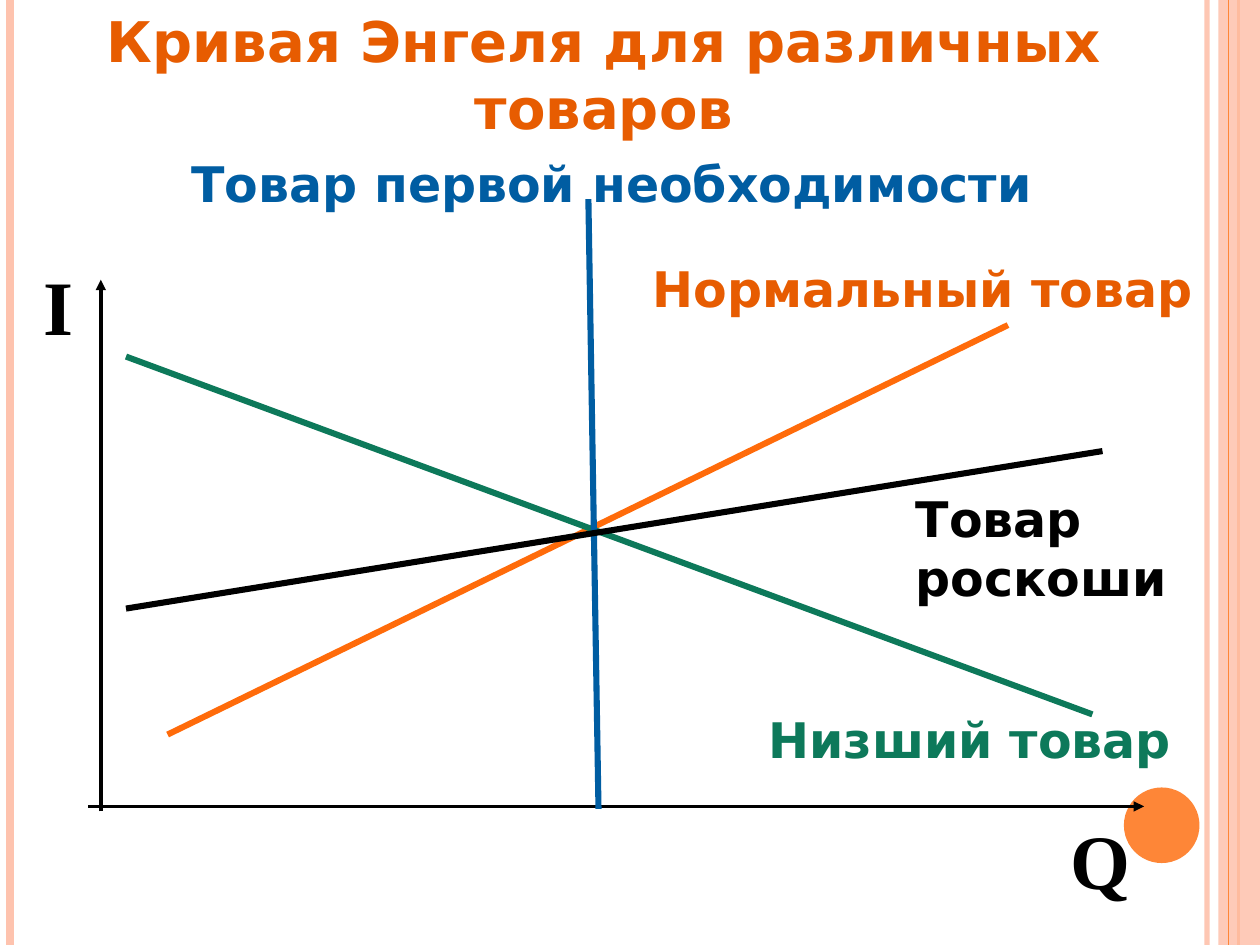
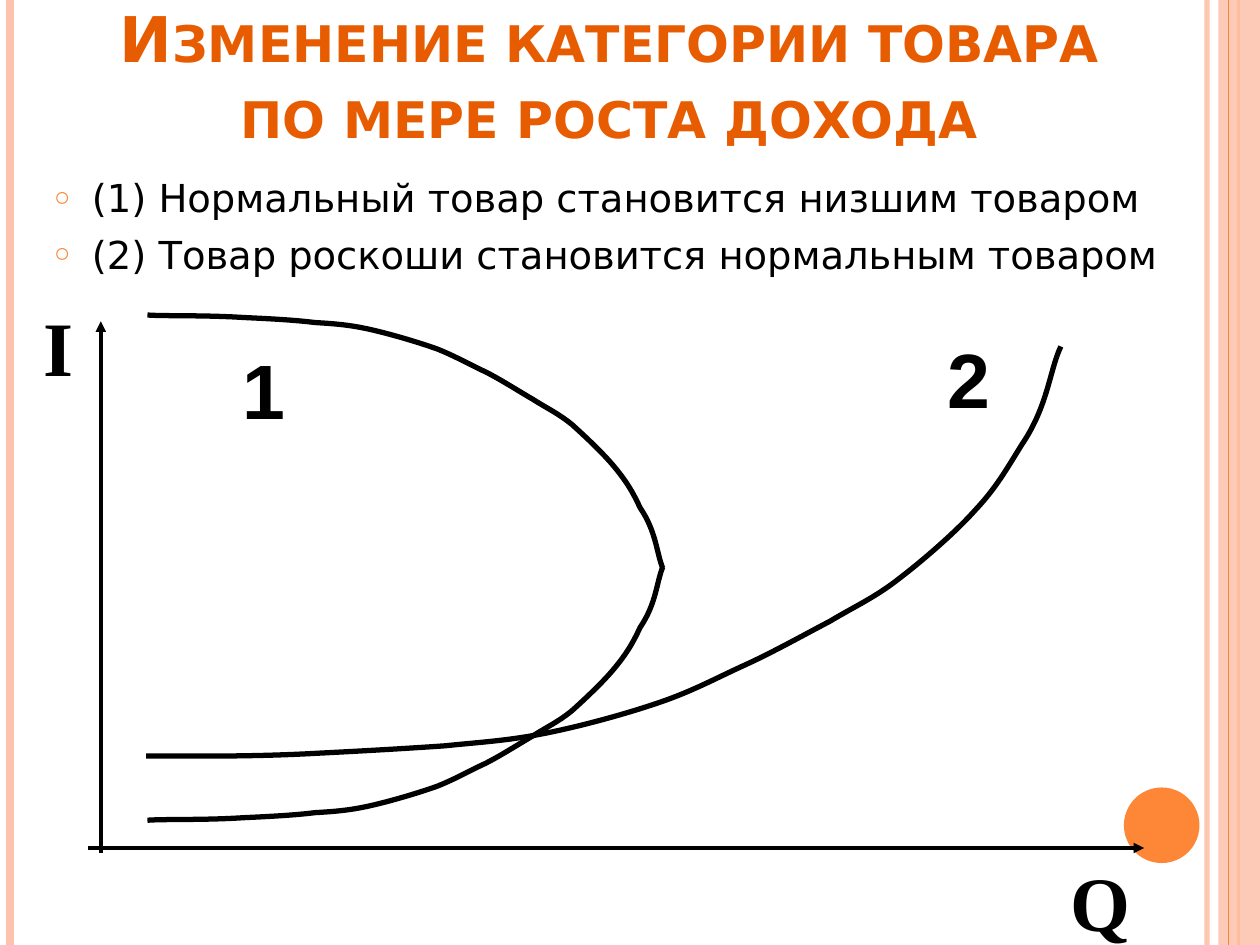
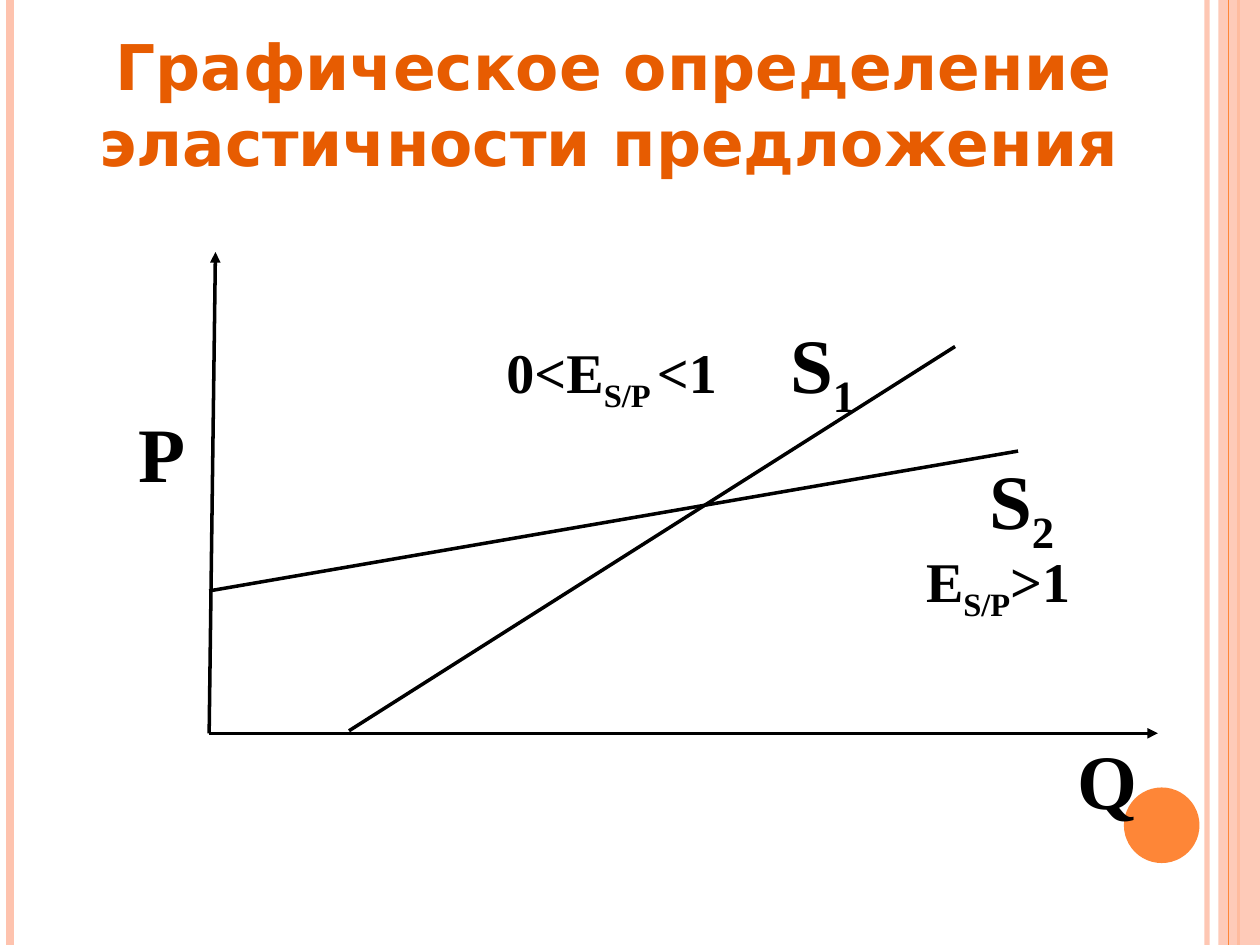
import pptx
import pptx.dml.color
import pptx.enum.shapes
import pptx.enum.text
import pptx.oxml
import pptx.oxml.ns
import pptx.util

Inches, Pt = pptx.util.Inches, pptx.util.Pt
ANCHOR, FIT = pptx.enum.text.MSO_ANCHOR, pptx.enum.text.MSO_AUTO_SIZE
WIDTH, HEIGHT = 10, 7.5

COLORS = {
    "peach": "FEC3AE", "orange": "FE8637", "title": "E75C01", "black": "000000",
    "normal": "FF6B0A", "inferior": "0D795A", "necessity": "005DA2",
}
SANS, SERIF, DIGITS = "DejaVu Sans", "Times New Roman", "Arial"
TIGHT = (0.02, 0.01)
LOOSE = (0.1, 0.05)

# x, colour, width in points, opacity in percent
BANDS = [
    (9.58, "peach", 3, 93),
    (0.08, "peach", 4.5, 100),
    (9.83, "orange", 1.5, 100),
    (9.75, "orange", 0.75, 100),
]
SIDE_STRIP = (9.67, 0, 0.33, HEIGHT)
DISC = (8.92, 6.25, 0.6, 0.6)

ENGEL_TITLE = "Кривая Энгеля для различных товаров"
ENGEL_LINES = [
    ((1.33, 5.83), (8, 2.58), "normal"),
    ((1, 2.83), (8.67, 5.67), "inferior"),
    ((4.67, 1.58), (4.75, 6.42), "necessity"),
    ((1, 4.83), (8.75, 3.58), "black"),
]
# Text, box, colour, whether the text wraps
ENGEL_LABELS = [
    ("Нормальный товар", (5.08, 2, 4.55, 0.57), "title", False),
    ("Низший товар", (6, 5.58, 3.42, 0.57), "inferior", False),
    ("Товар первой необходимости", (1.42, 1.17, 6.95, 0.57), "necessity", False),
    ("Товар роскоши", (7.17, 3.83, 2.33, 1.04), "black", True),
]

CHANGE_TITLE = "Изменение категории товара по мере роста дохода"
CHANGES = [
    "(1) Нормальный товар становится низшим товаром",
    "(2) Товар роскоши становится нормальным товаром",
]
# Each curve: a start point, then three Bezier points per segment
UPPER_BRANCH = [
    (1.17, 2.5), (1.3, 2.51), (1.62, 2.5), (1.93, 2.52),
    (2.15, 2.53), (2.34, 2.54), (2.5, 2.56),
    (2.67, 2.57), (2.79, 2.58), (2.96, 2.62),
    (3.13, 2.66), (3.33, 2.72), (3.47, 2.77),
    (3.62, 2.83), (3.72, 2.89), (3.85, 2.95),
    (3.97, 3.01), (4.11, 3.1), (4.23, 3.17),
    (4.34, 3.24), (4.43, 3.28), (4.54, 3.37),
    (4.64, 3.46), (4.79, 3.6), (4.88, 3.71),
    (4.97, 3.82), (5.02, 3.9), (5.08, 4.03),
    (5.21, 4.22), (5.21, 4.39), (5.26, 4.51),
]
MIRROR_SUM = 9.01
LOWER_BRANCH = [(x, MIRROR_SUM - y) for x, y in UPPER_BRANCH]
LUXURY_CURVE = [
    (1.16, 6), (1.39, 6), (1.95, 6.01), (2.5, 5.98),
    (2.89, 5.96), (3.24, 5.94), (3.53, 5.92),
    (3.82, 5.89), (4.03, 5.88), (4.33, 5.82),
    (4.63, 5.76), (4.99, 5.66), (5.25, 5.57),
    (5.51, 5.48), (5.69, 5.38), (5.91, 5.28),
    (6.13, 5.18), (6.38, 5.04), (6.59, 4.93),
    (6.79, 4.81), (6.95, 4.74), (7.14, 4.59),
    (7.31, 4.46), (7.58, 4.23), (7.74, 4.05),
    (7.9, 3.88), (7.98, 3.74), (8.11, 3.53),
    (8.32, 3.22), (8.33, 2.94), (8.42, 2.75),
]
CURVE_NUMBERS = [("1", (1.83, 2.67, 0.55, 0.84)), ("2", (7.42, 2.58, 0.55, 0.84))]

SUPPLY_TITLE = "Графическое определение эластичности предложения"
ORIGIN = (1.66, 5.82)
SUPPLY_LINES = [((2.77, 5.8), (7.58, 2.75)), ((1.66, 4.69), (8.08, 3.58))]
# Every second part of a label is a subscript
SUPPLY_LABELS = [
    (("0<Е", "S/P ", "<1"), (4, 2.67, 1.83, 0.42), 32, TIGHT),
    (("Р",), (1, 3.17, 0.66, 0.53), 44, LOOSE),
    (("Q",), (8.53, 5.8, 0.66, 0.28), 44, TIGHT),
    (("Е", "S/P", ">1"), (7.33, 4.33, 1.33, 0.42), 32, TIGHT),
    (("S", "1"), (6.25, 2.5, 0.89, 0.42), 44, TIGHT),
    (("S", "2"), (7.83, 3.58, 0.89, 0.42), 44, TIGHT),
]


def rgb(color):
    return pptx.dml.color.RGBColor.from_string(COLORS[color])


def add_xml(parent, tag, **attributes):
    child = pptx.oxml.parse_xml(f"<a:{tag} {pptx.oxml.ns.nsdecls('a')}/>")
    for key, value in attributes.items():
        child.set(key, str(value))
    parent.append(child)
    return child


def set_opacity(shape, percent):
    for color in shape.element.xpath(".//p:spPr//a:srgbClr"):
        add_xml(color, "alpha", val=percent * 1000)


def add_line(slide, start, end, color="black", width=2.0, arrow=False):
    line = slide.shapes.add_connector(
        pptx.enum.shapes.MSO_CONNECTOR.STRAIGHT, *map(Inches, start + end))
    line.line.color.rgb = rgb(color)
    line.line.width = Pt(width)
    if arrow:
        add_xml(line.line._get_or_add_ln(), "tailEnd", type="triangle")
    add_xml(line.element.spPr, "effectLst")
    return line


def add_plain(slide, kind, box, color):
    shape = slide.shapes.add_shape(kind, *map(Inches, box))
    shape.shadow.inherit = False
    shape.fill.solid()
    shape.fill.fore_color.rgb = rgb(color)
    shape.line.fill.background()
    return shape


def add_curve(slide, points):
    """Draw chained cubic Bezier segments as one open outline."""
    start, *rest = [tuple(map(Inches, point)) for point in points]
    builder = slide.shapes.build_freeform(*start)
    builder.add_line_segments(rest, close=False)
    curve = builder.convert_to_shape()
    outline = curve.element.xpath(".//a:path")[0]
    corners = outline.xpath("a:lnTo")
    for first in range(0, len(corners), 3):
        bend = add_xml(outline, "cubicBezTo")
        for corner in corners[first:first + 3]:
            bend.append(corner[0])
            outline.remove(corner)
    curve.shadow.inherit = False
    curve.fill.background()
    curve.line.color.rgb = rgb("black")
    curve.line.width = Pt(3)


def place(shape, box):
    shape.left, shape.top, shape.width, shape.height = map(Inches, box)


def set_font(paragraph, name, size, color, bold=True):
    font = paragraph.font
    font.name, font.size, font.bold = name, Pt(size), bold
    font.color.rgb = rgb(color)


def space_half_line(paragraph):
    spacing = add_xml(paragraph._p.get_or_add_pPr(), "spcBef")
    add_xml(spacing, "spcPct", val=50000)
    paragraph._p.pPr.insert(0, spacing)


def add_label(slide, parts, box, size, font=SERIF, color="black", margins=LOOSE, wrap=True):
    frame = slide.shapes.add_textbox(*map(Inches, box)).text_frame
    frame.word_wrap = wrap
    frame.margin_left = frame.margin_right = Inches(margins[0])
    frame.margin_top = frame.margin_bottom = Inches(margins[1])
    paragraph = frame.paragraphs[0]
    set_font(paragraph, font, size, color)
    if font == SERIF:
        space_half_line(paragraph)
    else:
        frame.auto_size = FIT.SHAPE_TO_FIT_TEXT
    for index, part in enumerate(parts):
        run = paragraph.add_run()
        run.text = part
        if index % 2:
            run._r.get_or_add_rPr().set("baseline", "-25000")


def set_title(slide, text, box, size, anchor=ANCHOR.TOP, small_caps=False):
    title = slide.shapes.title
    place(title, box)
    frame = title.text_frame
    frame.text = text
    frame.auto_size = FIT.NONE if small_caps else FIT.SHAPE_TO_FIT_TEXT
    frame.vertical_anchor = anchor
    paragraph = frame.paragraphs[0]
    paragraph.alignment = pptx.enum.text.PP_ALIGN.CENTER
    set_font(paragraph, SANS, size, "title")
    if small_caps:
        paragraph.font._element.set("cap", "small")
    else:
        space_half_line(paragraph)
    return paragraph


def set_bullets(slide, items, box):
    body = slide.placeholders[1]
    place(body, box)
    frame = body.text_frame
    frame.text = "\n".join(items)
    frame.auto_size = FIT.NONE
    for paragraph in frame.paragraphs:
        paragraph.space_before = Pt(6)
        properties = paragraph._p.get_or_add_pPr()
        properties.set("marL", str(Inches(0.3)))
        properties.set("indent", str(Inches(-0.3)))
        add_xml(add_xml(properties, "buClr"), "srgbClr", val=COLORS["orange"])
        add_xml(properties, "buSzPct", val=70000)
        add_xml(properties, "buChar", char="○")
        set_font(paragraph, SANS, 22, "black", bold=False)


def decorate_master(presentation, slide):
    """Draw the bands on a slide, then move them to the master."""
    kinds = pptx.enum.shapes.MSO_SHAPE
    decorations = []
    for x, color, width, opacity in BANDS:
        band = add_line(slide, (x, 0), (x, HEIGHT), color, width)
        if opacity < 100:
            set_opacity(band, opacity)
        decorations.append(band)
    strip = add_plain(slide, kinds.RECTANGLE, SIDE_STRIP, "peach")
    set_opacity(strip, 87)
    decorations.insert(3, strip)
    decorations.append(add_plain(slide, kinds.OVAL, DISC, "orange"))
    for number, shape in enumerate(decorations, 101):
        shape.element.xpath(".//p:cNvPr")[0].set("id", str(number))
        presentation.slide_master.shapes.element.append(shape.element)


def add_income_axes(slide, base):
    """Draw the I and Q axes, with the Q axis at height base."""
    add_line(slide, (0.8, base + 0.04), (0.8, base - 4.18), arrow=True)
    add_line(slide, (0.7, base), (9.08, base), arrow=True)
    add_label(slide, ["I"], (0.25, base - 4.4, 0.45, 0.77), 44)
    add_label(slide, ["Q"], (8.4, base, 0.45, 0.77), 44)


def build_engel(slide):
    set_title(slide, ENGEL_TITLE, (0.58, 0, 8.43, 1.18), 32)
    add_income_axes(slide, 6.4)
    for start, end, color in ENGEL_LINES:
        add_line(slide, start, end, color, 3.5)
    for text, box, color, wrap in ENGEL_LABELS:
        add_label(slide, [text], box, 28, SANS, color, wrap=wrap)


def build_change(slide):
    set_title(slide, CHANGE_TITLE, (0.75, 0, 8.17, 1.25), 36, ANCHOR.BOTTOM, True)
    set_bullets(slide, CHANGES, (0.33, 1.33, 9, 5.25))
    add_income_axes(slide, 6.73)
    for curve in (LUXURY_CURVE, LOWER_BRANCH, UPPER_BRANCH):
        add_curve(slide, curve)
    for number, box in CURVE_NUMBERS:
        add_label(slide, [number], box, 44, DIGITS, wrap=False)


def build_supply(slide):
    heading = set_title(slide, SUPPLY_TITLE, (0.5, 0.17, 8.74, 1.31), 36)
    ending = heading.add_run()
    ending.text = " "
    ending.font.size = Pt(16)
    for tip in ((1.71, 2), (9.19, 5.82)):
        add_line(slide, ORIGIN, tip, arrow=True)
    for start, end in SUPPLY_LINES:
        add_line(slide, start, end)
    for parts, box, size, margins in SUPPLY_LABELS:
        add_label(slide, parts, box, size, margins=margins)


def main():
    presentation = pptx.Presentation()
    presentation.slide_width, presentation.slide_height = Inches(WIDTH), Inches(HEIGHT)
    title_only, title_and_body = (presentation.slide_layouts[i] for i in (5, 1))
    engel, change, supply = (
        presentation.slides.add_slide(layout)
        for layout in (title_only, title_and_body, title_only))
    decorate_master(presentation, engel)
    build_engel(engel)
    build_change(change)
    build_supply(supply)
    presentation.save("out.pptx")


if __name__ == "__main__":
    main()
